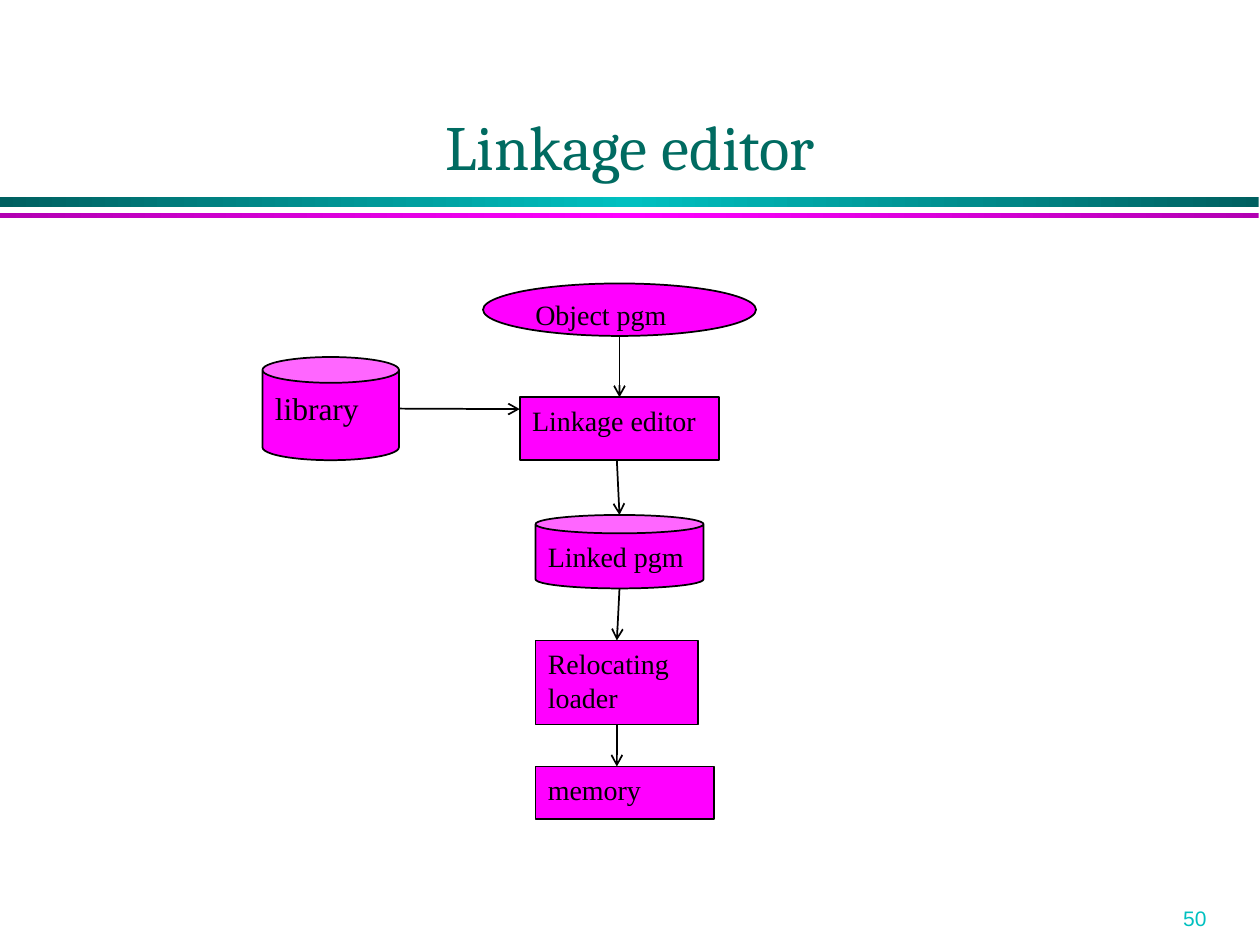
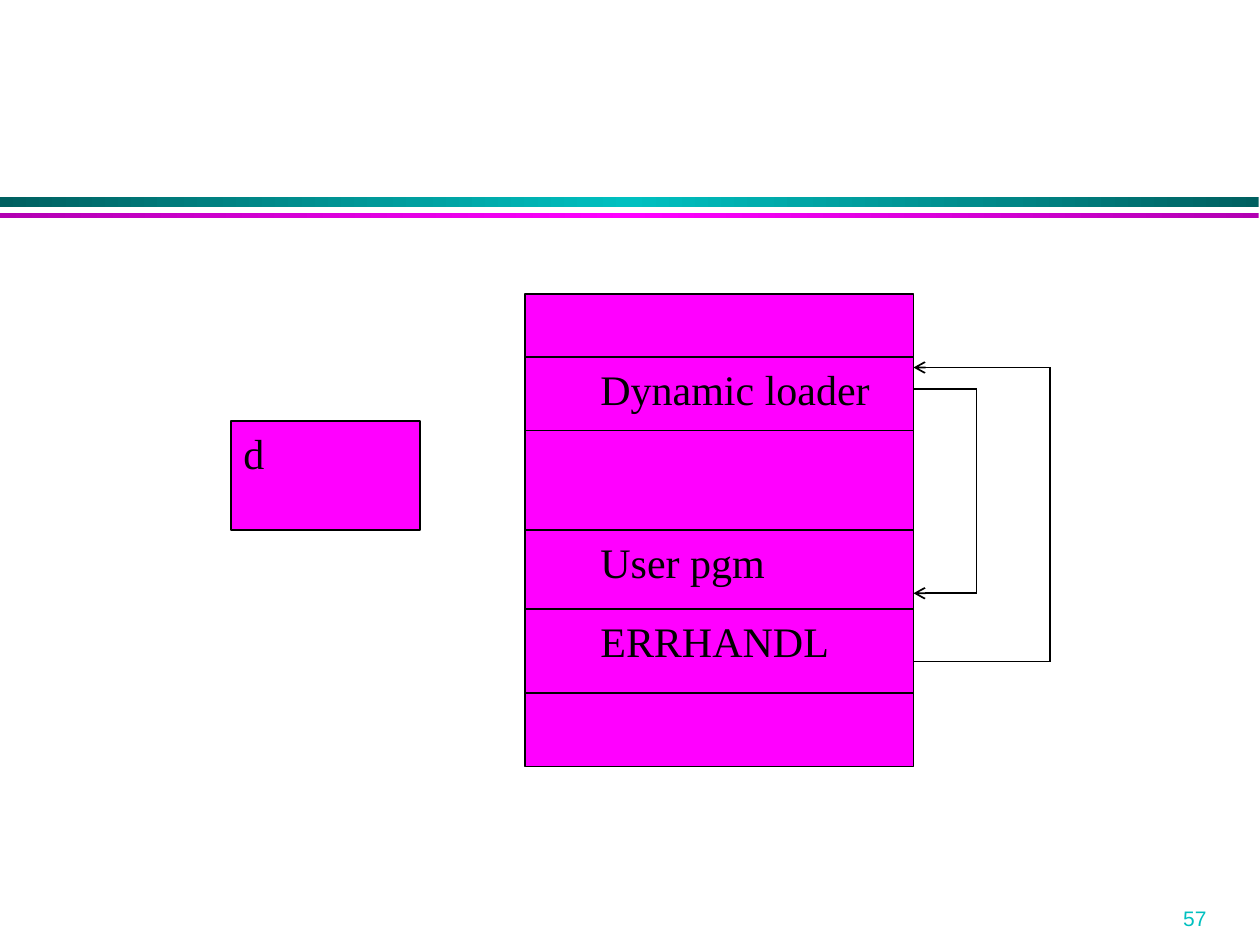
from copy import deepcopy
from dataclasses import dataclass
from typing import NamedTuple

from lxml.etree import SubElement
from pptx import Presentation
from pptx.dml.color import RGBColor
from pptx.enum.shapes import MSO_CONNECTOR as Link, MSO_SHAPE as Preset
from pptx.enum.text import MSO_ANCHOR as Anchor, PP_ALIGN as Align
from pptx.oxml.ns import qn
from pptx.util import Pt


@dataclass(frozen=True)
class Theme:
    ink: str = "000000"
    fill: str = "FF00FF"
    title: str = "006B61"
    number: str = "00C0C0"
    teal_band: tuple = ("006060", "00C0C0", "006060")
    pink_band: tuple = ("B200B2", "FF00FF", "B200B2")
    body_font: str = "Times New Roman"
    title_font: str = "Cambria"
    number_font: str = "Arial"
    title_size: int = 36
    label_size: int = 24
    library_size: int = 18
    step_size: int = 16
    number_size: int = 12
    line_width: int = 1


THEME = Theme()


class Box(NamedTuple):
    left: float
    top: float
    width: float
    height: float

    def inner(self, left, top, width, height):
        """Turn a place measured from this box into a place on the page."""
        return Box(self.left + left, self.top + top, width, height)

    def lengths(self):
        return [Pt(value) for value in self]


PAGE = Box(0, 0, 720, 540)


def write(shape, text, size, font=THEME.body_font, color=THEME.ink,
          align=Align.LEFT, anchor=Anchor.TOP):
    frame = shape.text_frame
    frame.text = text
    frame.word_wrap = True
    frame.vertical_anchor = anchor
    para = frame.paragraphs[0]
    para.alignment = align
    for span in para.runs:
        span.font.name = font
        span.font.size = Pt(size)
        span.font.color.rgb = RGBColor.from_string(color)


def add_label(page, box, text, size, **style):
    write(page.shapes.add_textbox(*box.lengths()), text, size, **style)


def add_block(page, box, preset=Preset.RECTANGLE, text="", size=THEME.step_size):
    block = page.shapes.add_shape(preset, *box.lengths())
    block.shadow.inherit = False
    block.fill.solid()
    block.fill.fore_color.rgb = RGBColor.from_string(THEME.fill)
    block.line.color.rgb = RGBColor.from_string(THEME.ink)
    block.line.width = Pt(THEME.line_width)
    if text:
        write(block, text, size)
    return block


def add_line(page, box, start, end, arrow=False):
    """Draw a straight line between two points measured from the box."""
    points = [Pt(value) for x, y in (start, end)
              for value in (box.left + x, box.top + y)]
    line = page.shapes.add_connector(Link.STRAIGHT, *points)
    line.line.color.rgb = RGBColor.from_string(THEME.ink)
    line.line.width = Pt(THEME.line_width)
    properties = line._element.spPr
    if arrow:
        SubElement(properties.find(qn("a:ln")), qn("a:tailEnd"), type="arrow")
    SubElement(properties, qn("a:effectLst"))
    return line


def add_band(page, box, colors):
    band = page.shapes.add_shape(Preset.RECTANGLE, *box.lengths())
    band.shadow.inherit = False
    band.line.fill.background()
    band.fill.gradient()
    band.fill.gradient_angle = 0
    stop_list = band._element.spPr.find(".//" + qn("a:gsLst"))
    stop_list.append(deepcopy(stop_list[0]))
    for index, (stop, color) in enumerate(zip(band.fill.gradient_stops, colors)):
        stop.position = index / 2
        stop.color.rgb = RGBColor.from_string(color)


def add_page(deck, number, title=""):
    """Add a page with the shared bands, its number and, if given, a title."""
    page = deck.slides.add_slide(deck.slide_layouts[5 if title else 6])
    add_band(page, PAGE.inner(0, 112.4, 719.3, 5.8), THEME.teal_band)
    add_band(page, PAGE.inner(0, 121.7, 719.3, 2.9), THEME.pink_band)
    add_label(page, PAGE.inner(669, 514, 69, 21.6), str(number), THEME.number_size,
              font=THEME.number_font, color=THEME.number)
    if title:
        heading = page.shapes.title
        heading.left, heading.top, heading.width, heading.height = (
            PAGE.inner(54, 18, 612, 90).lengths())
        write(heading, title, THEME.title_size, font=THEME.title_font,
              color=THEME.title, align=Align.CENTER, anchor=Anchor.BOTTOM)
    return page


def draw_linking_flow(page, box):
    add_block(page, box.inner(126, 0, 156, 30), Preset.OVAL, "Object pgm")
    editor = add_block(page, box.inner(147, 65, 114, 36), text="Linkage editor")
    add_block(page, box.inner(156, 132.3, 96, 42), Preset.CAN, "Linked pgm")
    loader = add_block(page, box.inner(156, 204, 93, 48), text="Relocating loader")
    add_block(page, box.inner(156, 276, 102, 30), text="memory")
    add_block(page, box.inner(0, 42, 78, 59), Preset.CAN, "library",
              THEME.library_size)

    add_line(page, box, (78, 71.5), (147, 71.8), arrow=True)
    to_editor = add_line(page, box, (204, 30), (204, 65), arrow=True)
    to_editor.end_connect(editor, 0)
    add_line(page, box, (202.5, 101), (204, 132.3), arrow=True)
    to_loader = add_line(page, box, (204, 174.3), (202.5, 204), arrow=True)
    to_loader.end_connect(loader, 0)
    to_memory = add_line(page, box, (202.5, 252), (202.5, 276), arrow=True)
    to_memory.begin_connect(loader, 2)


def draw_return_path(page, box, start, end, reach):
    """Leave the right side at start, go out by reach and come back at end."""
    side = box.width
    corners = [(side, start), (side + reach, start), (side + reach, end), (side, end)]
    for index, (here, there) in enumerate(zip(corners, corners[1:])):
        add_line(page, box, here, there, arrow=index == 2)


def draw_memory_map(page, box):
    add_block(page, box)
    rows = {36: "Dynamic loader", 78: "", 135: "User pgm", 180: "ERRHANDL", 228: ""}
    for top, name in rows.items():
        add_line(page, box, (0, top), (box.width, top))
        if name:
            add_label(page, box.inner(36, top, 192, 36), name, THEME.label_size)
    draw_return_path(page, box, start=54.5, end=171, reach=36)
    draw_return_path(page, box, start=210, end=42, reach=78)


def main():
    deck = Presentation()
    deck.slide_width, deck.slide_height = Pt(PAGE.width), Pt(PAGE.height)

    flow_page = add_page(deck, 50, "Linkage editor")
    draw_linking_flow(flow_page, PAGE.inner(150, 162, 282, 306))

    memory_page = add_page(deck, 57)
    draw_memory_map(memory_page, PAGE.inner(300, 168, 222, 270))
    add_block(memory_page, PAGE.inner(132, 240.5, 108, 62.5), text="d",
              size=THEME.label_size)

    deck.save("out.pptx")


if __name__ == "__main__":
    main()
